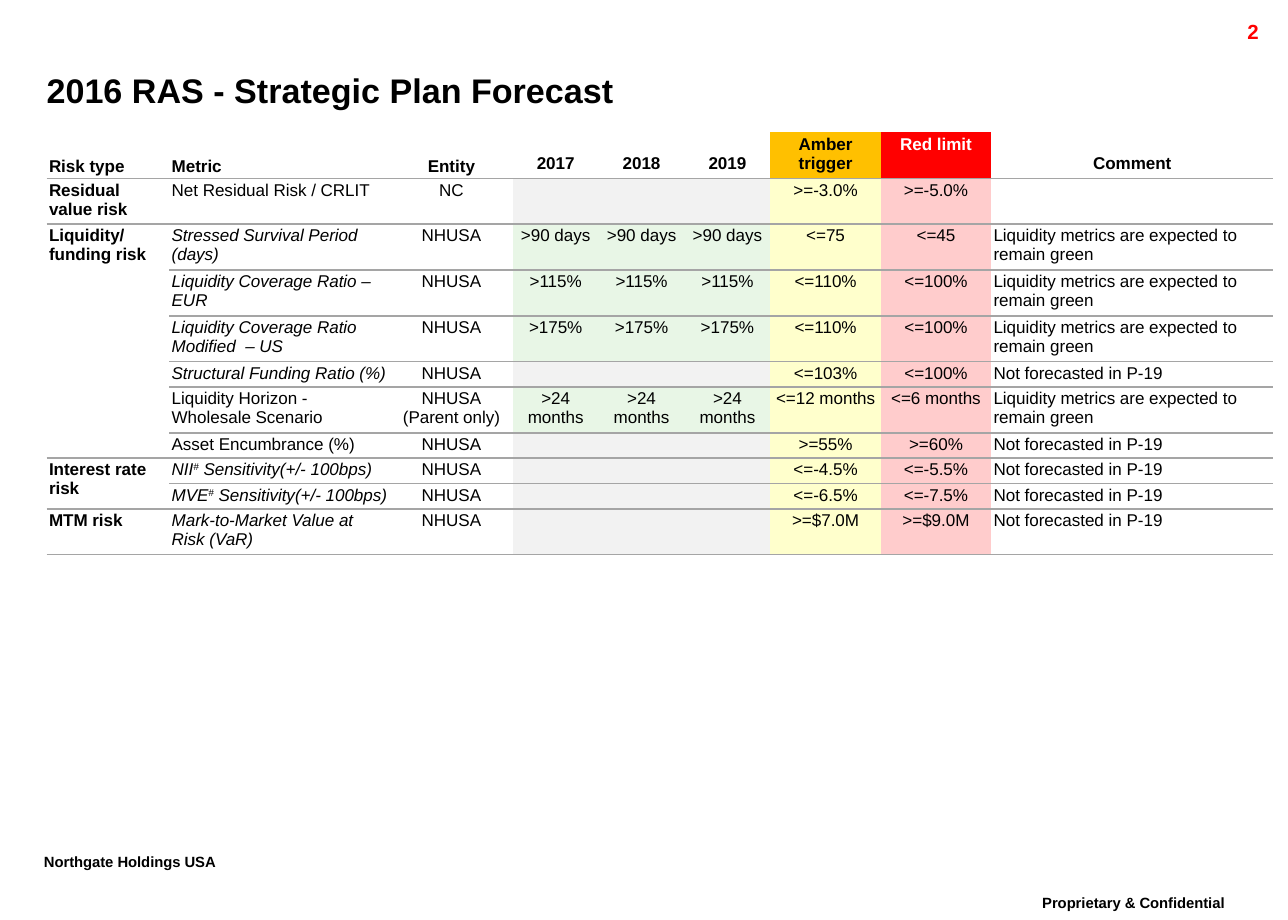
from lxml import etree
from pptx import Presentation
from pptx.dml.color import RGBColor
from pptx.enum.text import MSO_ANCHOR, PP_ALIGN
from pptx.oxml.ns import qn
from pptx.util import Pt

PX = 9144  # one hundredth of an inch
LEFT, CENTER, RIGHT = PP_ALIGN.LEFT, PP_ALIGN.CENTER, PP_ALIGN.RIGHT
TOP, MIDDLE, BOTTOM = MSO_ANCHOR.TOP, MSO_ANCHOR.MIDDLE, MSO_ANCHOR.BOTTOM
NO_STYLE = "{2D5ABB26-0587-4C30-8999-92F81FD0307C}"
COLORS = {
    "black": "000000", "white": "FFFFFF", "red": "FF0000", "amber": "FFC000",
    "rule": "A5A5A5", "no_forecast": "F2F2F2", "green": "E8F6E6",
    "pale_amber": "FFFFCC", "pale_red": "FFCCCC",
}


def add_run(paragraph, text, size, color="black", bold=False, italic=False, raised=False):
    run = paragraph.add_run()
    run.text = text
    font = run.font
    font.name, font.size, font.bold, font.italic = "Arial", Pt(size), bold, italic
    font.color.rgb = RGBColor.from_string(COLORS[color])
    if raised:
        font._rPr.set("baseline", "30000")


def add_rule(cell, side):
    line = etree.SubElement(cell._tc.get_or_add_tcPr(), qn(f"a:{side}"), w=str(Pt(1)))
    fill = etree.SubElement(line, qn("a:solidFill"))
    etree.SubElement(fill, qn("a:srgbClr"), val=COLORS["rule"])


prs = Presentation()
prs.slide_width, prs.slide_height = 1050 * PX, 750 * PX
slide = prs.slides.add_slide(prs.slide_layouts[5])

# Title
title = slide.shapes.title
title.left, title.top, title.width, title.height = 38 * PX, 49 * PX, 948 * PX, 48 * PX
title_frame = title.text_frame
title_frame.margin_left = title_frame.margin_right = 0
title_frame.margin_top = title_frame.margin_bottom = 0
title_frame.vertical_anchor = MIDDLE
title_frame.word_wrap = True
title_frame.paragraphs[0].alignment = LEFT
add_run(title_frame.paragraphs[0], "2016 RAS - Strategic Plan Forecast", 20, bold=True)

# Footers and page number
margin_notes = [
    ("Proprietary & Confidential", 815, 725, 218, 35, CENTER, 15, "black", True),
    ("Northgate Holdings USA", 26, 691, 191, 35, LEFT, 15, "black", True),
    ("2", 936, 11, 100, 24, RIGHT, 12, "red", False),
]
for text, x, y, w, h, align, size, color, raised in margin_notes:
    frame = slide.shapes.add_textbox(x * PX, y * PX, w * PX, h * PX).text_frame
    frame.word_wrap = True
    paragraph = frame.paragraphs[0]
    paragraph.alignment = align
    if raised:
        paragraph.line_spacing = 0.86
    add_run(paragraph, text, size, color, bold=True, raised=raised)

# Table content: risk type, metric, entity, forecast per year, amber, red, comment
headers = ["Risk type", "Metric", "Entity", "2017", "2018", "2019",
           "Amber trigger", "Red limit", "Comment"]
GREEN_NOTE = "Liquidity metrics are expected to remain green"
NO_NOTE = "Not forecasted in P-19"
metrics = [
    ("Residual value risk", "Net Residual Risk / CRLIT", "NC", "", ">=-3.0%", ">=-5.0%", ""),
    ("Liquidity/funding risk", "Stressed Survival Period (days)", "NHUSA", ">90 days",
     "<=75", "<=45", GREEN_NOTE),
    ("", "Liquidity Coverage Ratio – EUR", "NHUSA", ">115%", "<=110%", "<=100%", GREEN_NOTE),
    ("", "Liquidity Coverage Ratio Modified  – US", "NHUSA", ">175%",
     "<=110%", "<=100%", GREEN_NOTE),
    ("", "Structural Funding Ratio (%)", "NHUSA", "", "<=103%", "<=100%", NO_NOTE),
    ("", "Liquidity Horizon - Wholesale Scenario", "NHUSA\n(Parent only)", ">24 months",
     "<=12 months", "<=6 months", GREEN_NOTE),
    ("", "Asset Encumbrance (%)", "NHUSA", "", ">=55%", ">=60%", NO_NOTE),
    ("Interest rate risk", "NII# Sensitivity(+/- 100bps)", "NHUSA", "",
     "<=-4.5%", "<=-5.5%", NO_NOTE),
    ("", "MVE# Sensitivity(+/- 100bps)", "NHUSA", "", "<=-6.5%", "<=-7.5%", NO_NOTE),
    ("MTM risk", "Mark-to-Market Value at Risk (VaR)", "NHUSA", "",
     ">=$7.0M", ">=$9.0M", NO_NOTE),
]
italic_rows = {2, 3, 4, 5, 8, 9, 10}
short_rows = {5, 7, 8, 9}
col_widths = [100, 180, 100, 70, 70, 70, 90, 90, 230]
rows = [headers] + [[risk, metric, entity] + [forecast] * 3 + [amber, red, comment]
                    for risk, metric, entity, forecast, amber, red, comment in metrics]

# Table frame
risk_frame = slide.shapes.add_table(len(rows), len(headers), 38 * PX, 108 * PX,
                                    sum(col_widths) * PX, 361 * PX)
risk_table = risk_frame.table
risk_table.first_row = risk_table.horz_banding = False
risk_table._tbl.tblPr.find(qn("a:tableStyleId")).text = NO_STYLE
for column, width in zip(risk_table.columns, col_widths):
    column.width = width * PX
for r, row in enumerate(risk_table.rows):
    row.height = (20 if r in short_rows else 37) * PX
for first, last in [(2, 7), (8, 9)]:
    risk_table.cell(first, 0).merge(risk_table.cell(last, 0))

# Table cells
for r, values in enumerate(rows):
    for c, value in enumerate(values):
        cell = risk_table.cell(r, c)
        is_header = r == 0
        is_year = 3 <= c <= 5
        inset = 4 if is_header and (is_year or c == 8) else 2
        cell.margin_left = cell.margin_right = inset * PX
        cell.margin_top = cell.margin_bottom = inset * PX
        cell.vertical_anchor = BOTTOM if is_header and c not in (6, 7) else TOP

        if not cell.is_spanned:
            if not is_header:
                add_rule(cell, "lnT")
            add_rule(cell, "lnB")

        if is_header:
            fill = {6: "amber", 7: "red"}.get(c)
        elif is_year:
            fill = "green" if value else "no_forecast"
        else:
            fill = {6: "pale_amber", 7: "pale_red"}.get(c)
        if fill:
            cell.fill.solid()
            cell.fill.fore_color.rgb = RGBColor.from_string(COLORS[fill])
        else:
            cell.fill.background()

        lines = value.split("\n")
        for i, line in enumerate(lines):
            frame = cell.text_frame
            paragraph = frame.add_paragraph() if i else frame.paragraphs[0]
            centered = 2 <= c <= 7 or (is_header and c == 8)
            paragraph.alignment = CENTER if centered else LEFT
            paragraph.space_before = paragraph.space_after = Pt(2 if len(lines) == 1 else 0)
            for part in line.partition("#"):
                if part:
                    add_run(paragraph, part, 10,
                            color="white" if is_header and c == 7 else "black",
                            bold=is_header or c == 0,
                            italic=c == 1 and r in italic_rows,
                            raised=part == "#")
            if not line:
                etree.SubElement(paragraph._p, qn("a:endParaRPr"), sz="1000")

prs.save("out.pptx")
